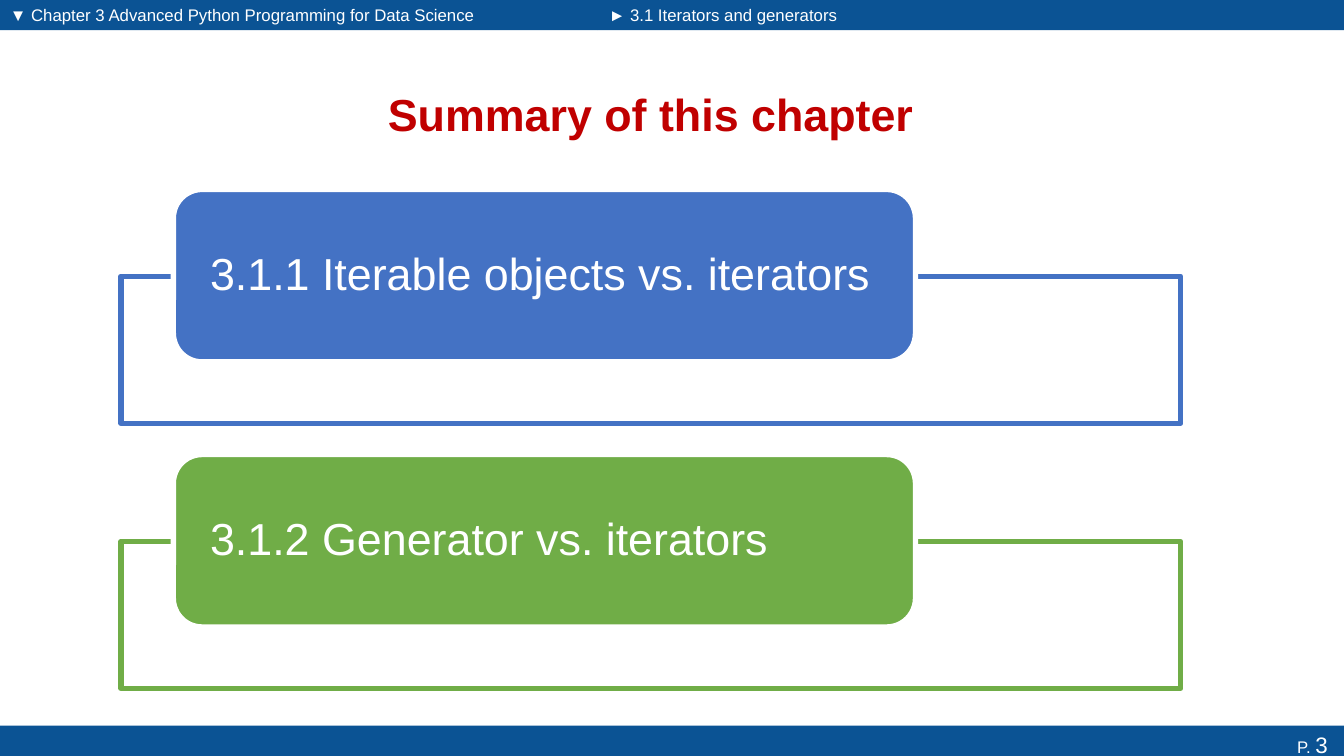
from lxml import etree
from pptx import Presentation
from pptx.dml.color import RGBColor
from pptx.enum import shapes, text
from pptx.oxml.ns import qn
from pptx.util import Inches, Pt

# Content
TITLE = "Summary of this chapter"
CHAPTER = "▼ Chapter 3 Advanced Python Programming for Data Science"
SECTION = "► 3.1 Iterators and generators"
PAGE_NUMBER = [("P. ", 12), ("3 ", 16)]
TOPICS = [
    ("3.1.1 Iterable objects vs. iterators", "blue"),
    ("3.1.2 Generator vs. iterators", "green"),
]
COLORS = {"navy": "0B5394", "red": "C00000", "white": "FFFFFF",
          "blue": "4472C4", "green": "70AD47"}
FONT = "Arial"

# Layout, in inches
SLIDE_W, SLIDE_H = 13.33, 7.5
HEADER_H, HEADER_SPLIT = 0.3, 5.93
TOPIC_TOP, TOPIC_STEP = 1.88, 2.63
FRAME_DROP = 0.86
OUTLINE = 3.78

deck = Presentation()
deck.slide_width, deck.slide_height = Inches(SLIDE_W), Inches(SLIDE_H)
page = deck.slides.add_slide(deck.slide_layouts[6])


def color(name):
    return RGBColor.from_string(COLORS[name])


def add_box(kind, place, fill, line=None):
    box = page.shapes.add_shape(kind, *map(Inches, place))
    box.shadow.inherit = False
    box.fill.solid()
    box.fill.fore_color.rgb = color(fill)
    if line:
        box.line.color.rgb = color(line)
        box.line.width = Pt(OUTLINE)
    else:
        box.line.fill.background()
    return box


def add_label(place):
    return page.shapes.add_textbox(*map(Inches, place))


def write(box, runs, ink="white", align=text.PP_ALIGN.LEFT,
          anchor=text.MSO_ANCHOR.TOP, bold=False):
    frame = box.text_frame
    frame.word_wrap = True
    frame.vertical_anchor = anchor
    para = frame.paragraphs[0]
    para.alignment = align
    for words, size in runs:
        span = para.add_run()
        span.text = words
        span.font.name = FONT
        span.font.size = Pt(size)
        span.font.bold = bold
        span.font.color.rgb = color(ink)
    return para


RECT = shapes.MSO_SHAPE.RECTANGLE
ROUNDED = shapes.MSO_SHAPE.ROUNDED_RECTANGLE
MIDDLE = text.MSO_ANCHOR.MIDDLE

# Header and footer bars
add_box(RECT, (0, 0, HEADER_SPLIT, HEADER_H), "navy")
add_box(RECT, (HEADER_SPLIT, 0, SLIDE_W - HEADER_SPLIT, HEADER_H), "navy")
footer = add_box(RECT, (0, 7.2, SLIDE_W, 0.37), "navy")
write(footer, PAGE_NUMBER, align=text.PP_ALIGN.RIGHT)

# Header labels
for words, left, width in [(CHAPTER, 0, 4.83), (SECTION, 5.94, 2.57)]:
    write(add_label((left, 0, width, 0.29)), [(words, 12)])

# Title
write(add_label((2.51, 0.68, 7.89, 0.9)), [(TITLE, 32)], "red",
      text.PP_ALIGN.CENTER, MIDDLE, bold=True)

# Topics: an outlined frame with a rounded label over its top edge
for row, (topic, tint) in enumerate(TOPICS):
    top = TOPIC_TOP + row * TOPIC_STEP
    frame = add_box(RECT, (1.2, top + FRAME_DROP, 10.51, 1.46), "white", tint)
    fill = frame.fill._xPr.find(qn("a:solidFill"))
    etree.SubElement(fill[0], qn("a:alpha"), val="90000")

    label = add_box(ROUNDED, (1.72, top, 7.36, 1.71), tint, "white")
    inset = label.text_frame
    inset.margin_left = inset.margin_right = Inches(0.28)
    inset.margin_top = inset.margin_bottom = 0
    para = write(label, [(topic, 32)], anchor=MIDDLE)
    para.line_spacing = 0.9

deck.save("out.pptx")
